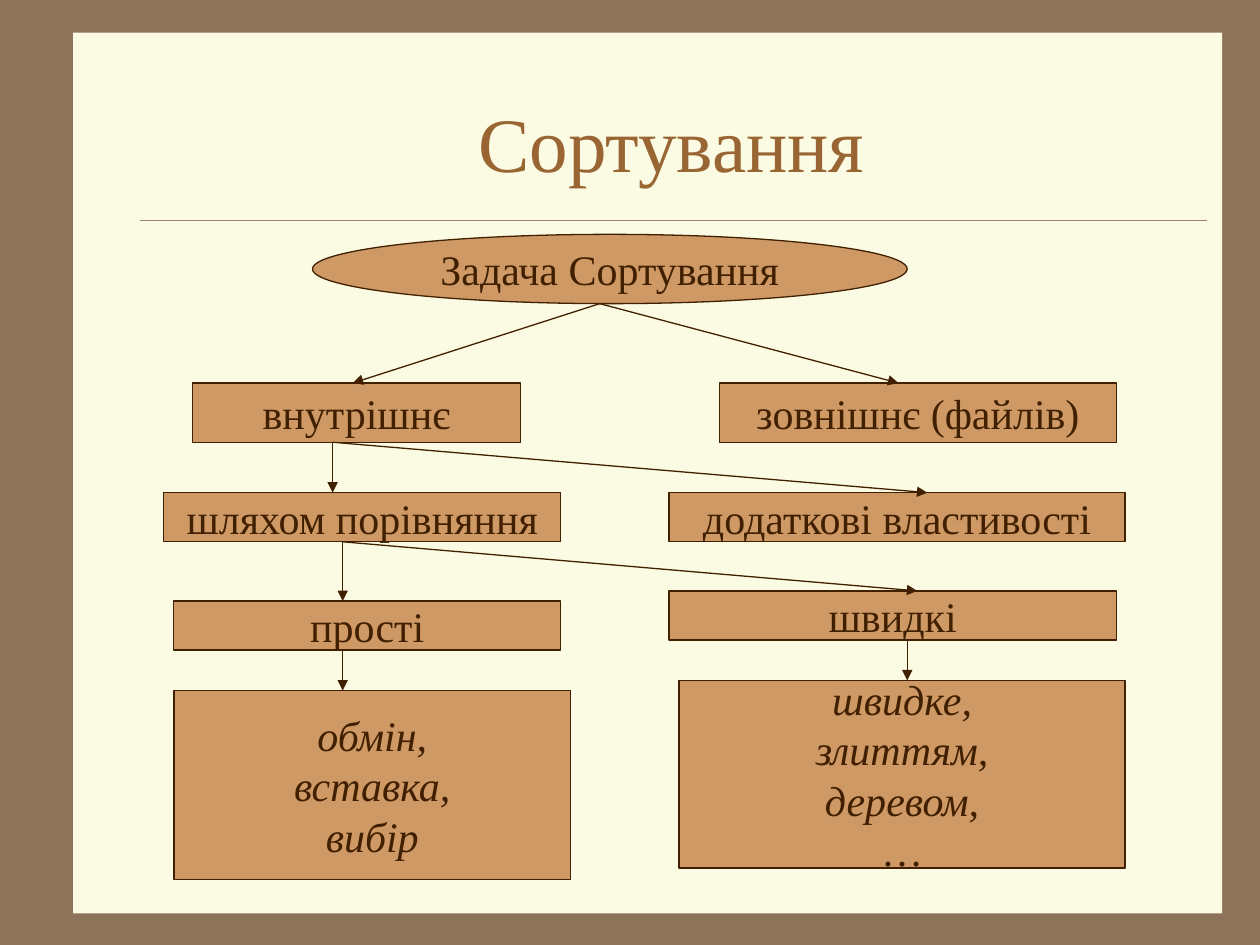
import dataclasses

import lxml.etree
import pptx
import pptx.dml.color
import pptx.enum.shapes
import pptx.enum.text
import pptx.oxml.ns
import pptx.util

Inches = pptx.util.Inches
Shapes = pptx.enum.shapes.MSO_SHAPE


def rgb(value):
    return pptx.dml.color.RGBColor.from_string(value)


@dataclasses.dataclass(frozen=True)
class Theme:
    font: str = "Times New Roman"
    frame: str = "8C735A"
    paper: str = "FBFAE2"
    rule: str = "A08366"
    title: str = "996633"
    node: str = "CE9964"
    ink: str = "402000"
    title_size: int = 44
    node_size: int = 24
    rule_width: float = 0.25
    line_width: float = 0.75


class SlideBuilder:
    def __init__(self, slide, theme):
        self.slide = slide
        self.theme = theme

    def background(self, color):
        fill = self.slide.background.fill
        fill.solid()
        fill.fore_color.rgb = rgb(color)

    def set_text(self, shape, paragraphs, size, color, wrap):
        frame = shape.text_frame
        frame_format = {
            "word_wrap": wrap,
            "vertical_anchor": pptx.enum.text.MSO_ANCHOR.MIDDLE,
            "margin_left": Inches(0.1),
            "margin_right": Inches(0.1),
            "margin_top": Inches(0.05),
            "margin_bottom": Inches(0.05),
        }
        for name, value in frame_format.items():
            setattr(frame, name, value)
        for index, (text, italic) in enumerate(paragraphs):
            paragraph = frame.paragraphs[0] if index == 0 else frame.add_paragraph()
            paragraph.text = text
            paragraph.alignment = pptx.enum.text.PP_ALIGN.CENTER
            run_format = {
                "name": self.theme.font,
                "size": pptx.util.Pt(size),
                "italic": italic,
            }
            for run in paragraph.runs:
                for name, value in run_format.items():
                    setattr(run.font, name, value)
                run.font.color.rgb = rgb(color)

    def title(self, text, bounds):
        shape = self.slide.shapes.add_textbox(*map(Inches, bounds))
        self.set_text(shape, [(text, False)], self.theme.title_size, self.theme.title, True)

    def block(self, kind, bounds, color):
        shape = self.slide.shapes.add_shape(kind, *map(Inches, bounds))
        shape.shadow.inherit = False
        shape.fill.solid()
        shape.fill.fore_color.rgb = rgb(color)
        shape.line.fill.background()
        return shape

    def node(self, paragraphs, bounds, kind=Shapes.RECTANGLE):
        shape = self.block(kind, bounds, self.theme.node)
        shape.line.color.rgb = rgb(self.theme.ink)
        shape.line.width = pptx.util.Pt(self.theme.line_width)
        self.set_text(shape, paragraphs, self.theme.node_size, self.theme.ink, False)

    def line(self, start, end, color, width):
        connector = self.slide.shapes.add_connector(
            pptx.enum.shapes.MSO_CONNECTOR.STRAIGHT, *map(Inches, (*start, *end))
        )
        connector.line.color.rgb = rgb(color)
        connector.line.width = pptx.util.Pt(width)
        properties = connector._element.spPr
        lxml.etree.SubElement(properties, pptx.oxml.ns.qn("a:effectLst"))
        return connector

    def arrow(self, start, end):
        connector = self.line(start, end, self.theme.ink, self.theme.line_width)
        outline = connector._element.spPr.find(pptx.oxml.ns.qn("a:ln"))
        lxml.etree.SubElement(outline, pptx.oxml.ns.qn("a:tailEnd"), type="triangle")


def main():
    presentation = pptx.Presentation()
    presentation.slide_width = Inches(10)
    presentation.slide_height = Inches(7.5)
    slide = presentation.slides.add_slide(presentation.slide_layouts[6])
    theme = Theme()
    builder = SlideBuilder(slide, theme)

    builder.background(theme.frame)
    builder.block(Shapes.RECTANGLE, (0.58, 0.26, 9.12, 6.99), theme.paper)
    builder.line((1.11, 1.75), (9.58, 1.75), theme.rule, theme.rule_width)
    builder.title("Сортування", (1.08, 0.5, 8.5, 1.25))

    builder.node([("Задача Сортування", False)], (2.48, 1.86, 4.72, 0.55), Shapes.OVAL)
    categories = [
        ("внутрішнє", (1.53, 3.04, 2.6, 0.47)),
        ("зовнішнє (файлів)", (5.71, 3.04, 3.15, 0.47)),
        ("шляхом порівняння", (1.3, 3.91, 3.15, 0.39)),
        ("додаткові властивості", (5.31, 3.91, 3.62, 0.39)),
        ("прості", (1.38, 4.77, 3.07, 0.39)),
        ("швидкі", (5.31, 4.69, 3.55, 0.39)),
    ]
    for text, bounds in categories:
        builder.node([(text, False)], bounds)
    builder.node([("обмін,\vвставка,\vвибір", True)], (1.38, 5.48, 3.15, 1.5))
    builder.node(
        [("швидке,\vзлиттям,\vдеревом,", True), ("…", False)], (5.39, 5.4, 3.54, 1.49)
    )

    branches = {
        (4.76, 2.41): [(2.8, 3.04), (7.13, 3.04)],
        (2.64, 3.51): [(2.64, 3.91), (7.36, 3.91)],
        (2.72, 4.3): [(2.72, 4.77), (7.28, 4.69)],
        (2.72, 5.17): [(2.72, 5.48)],
        (7.2, 5.09): [(7.2, 5.4)],
    }
    for start, ends in branches.items():
        for end in ends:
            builder.arrow(start, end)

    presentation.save("out.pptx")


if __name__ == "__main__":
    main()
